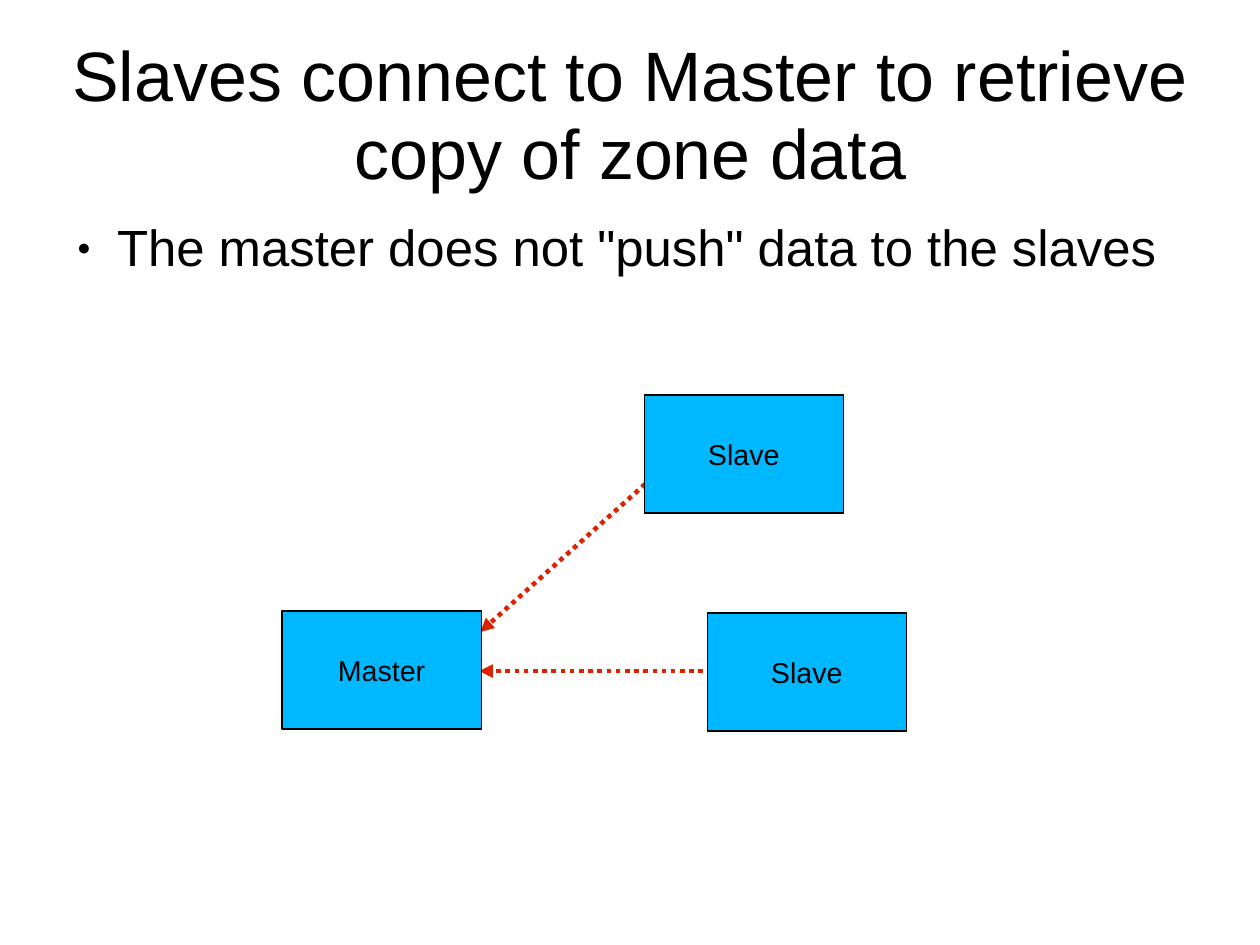
from lxml import etree
from pptx import Presentation, util as u
from pptx.dml.color import RGBColor
from pptx.enum import dml, shapes, text
from pptx.oxml import ns

SCALE = u.Inches(1) / 114.4
BLACK, BLUE, RED = "000000", "00B8FF", "DC2300"


def px(*values):
    return [u.Emu(round(value * SCALE)) for value in values]


def write(shape, words, size, align, anchor):
    frame = shape.text_frame
    frame.text = words
    frame.word_wrap = True
    frame.auto_size = text.MSO_AUTO_SIZE.NONE
    frame.vertical_anchor = anchor
    frame.margin_left = frame.margin_right = frame.margin_top = frame.margin_bottom = 0
    para = frame.paragraphs[0]
    para.alignment = align
    font = para.runs[0].font
    font.name, font.size = "Arial", u.Pt(size)
    font.color.rgb = RGBColor.from_string(BLACK)
    return para


deck = Presentation()
deck.slide_width, deck.slide_height = u.Inches(11.01), u.Inches(8.26)
page = deck.slides.add_slide(deck.slide_layouts[5])

for start_x, start_y, end_x, end_y in [(712, 671, 479, 671), (645, 484, 480, 632)]:
    arrow = page.shapes.add_connector(shapes.MSO_CONNECTOR.STRAIGHT, *px(start_x, start_y, end_x, end_y))
    arrow.line.color.rgb = RGBColor.from_string(RED)
    arrow.line.width = u.Pt(2.89)
    arrow.line.dash_style = dml.MSO_LINE.ROUND_DOT
    etree.SubElement(arrow.line._get_or_add_ln(), ns.qn("a:tailEnd"), type="triangle")
    etree.SubElement(arrow._element.spPr, ns.qn("a:effectLst"))

title = page.shapes.title
title.left, title.top, title.width, title.height = px(63, 38, 1135, 158)
heading = write(title, "Slaves connect to Master to retrieve copy of zone data", 44,
                text.PP_ALIGN.CENTER, text.MSO_ANCHOR.MIDDLE)
heading.line_spacing = 0.93

body = page.shapes.add_textbox(*px(63, 221, 1135, 625))
point = write(body, 'The master does not "push" data to the slaves', 32,
              text.PP_ALIGN.LEFT, text.MSO_ANCHOR.TOP)
point.line_spacing = 0.93
point.space_before = u.Pt(14)
properties = point._p.get_or_add_pPr()
margin, indent = px(54, -40)
properties.set("marL", str(margin))
properties.set("indent", str(indent))
etree.SubElement(properties, ns.qn("a:buSzPct"), val="45000")
etree.SubElement(properties, ns.qn("a:buFont"), typeface="Arial")
etree.SubElement(properties, ns.qn("a:buChar"), char="●")

for name, left, top in [("Master", 282, 611), ("Slave", 644, 395), ("Slave", 707, 613)]:
    server = page.shapes.add_shape(shapes.MSO_SHAPE.ROUNDED_RECTANGLE, *px(left, top, 199, 118))
    server.adjustments[0] = 0
    server.shadow.inherit = False
    server.fill.solid()
    server.fill.fore_color.rgb = RGBColor.from_string(BLUE)
    server.line.color.rgb = RGBColor.from_string(BLACK)
    server.line.width = u.Pt(0.75)
    write(server, name, 18, text.PP_ALIGN.CENTER, text.MSO_ANCHOR.MIDDLE)

deck.save("out.pptx")
